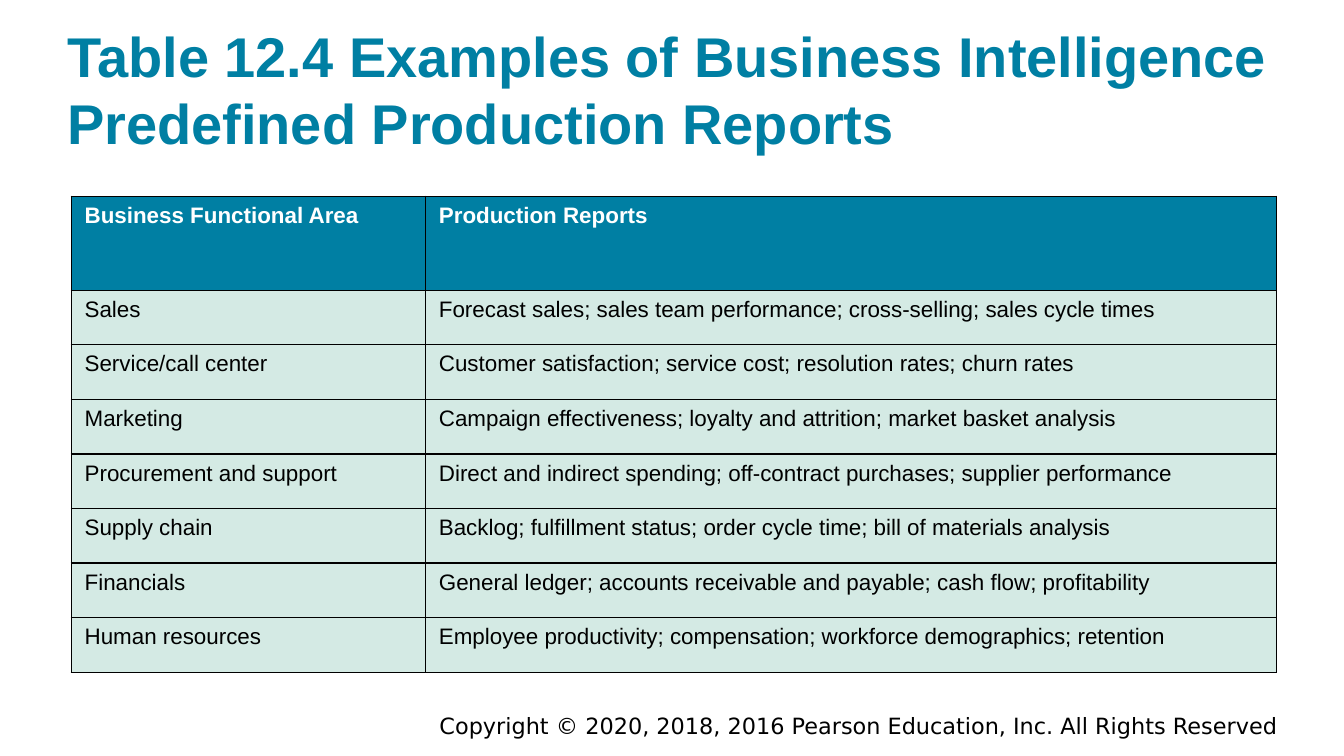
from dataclasses import dataclass

from lxml.etree import SubElement
from pptx import Presentation
from pptx.dml.color import RGBColor as Color
from pptx.enum.text import MSO_ANCHOR as Anchor, MSO_AUTO_SIZE as AutoSize, PP_ALIGN as Align
from pptx.oxml.ns import qn
from pptx.util import Inches, Pt


@dataclass(frozen=True)
class Theme:
    """Colours, fonts and sizes of the slide."""
    accent: str = "007FA3"
    tint: str = "D4EAE4"
    light: str = "FFFFFF"
    dark: str = "000000"
    font: str = "Arial"
    footer_font: str = "DejaVu Sans"
    title_size: int = 30
    text_size: int = 12
    border: float = 0.75


THEME = Theme()
WIDTH = Inches(10)
HEIGHT = WIDTH * 9 // 16
TITLE = "Table 12.4 Examples of Business Intelligence Predefined Production Reports"
COPYRIGHT = "Copyright © 2020, 2018, 2016 Pearson Education, Inc. All Rights Reserved"
REPORTS = [
    ("Business Functional Area", "Production Reports"),
    ("Sales", "Forecast sales; sales team performance; cross-selling; sales cycle times"),
    ("Service/call center", "Customer satisfaction; service cost; resolution rates; churn rates"),
    ("Marketing", "Campaign effectiveness; loyalty and attrition; market basket analysis"),
    ("Procurement and support",
     "Direct and indirect spending; off-contract purchases; supplier performance"),
    ("Supply chain", "Backlog; fulfillment status; order cycle time; bill of materials analysis"),
    ("Financials", "General ledger; accounts receivable and payable; cash flow; profitability"),
    ("Human resources", "Employee productivity; compensation; workforce demographics; retention"),
]


def area(left, top, width, height):
    """Turn percentages of the slide into left, top, width and height."""
    return (int(WIDTH * left / 100), int(HEIGHT * top / 100),
            int(WIDTH * width / 100), int(HEIGHT * height / 100))


def style(para, size, color, bold=False, font=THEME.font):
    """Set the font of a paragraph."""
    para.font.name = font
    para.font.size = Pt(size)
    para.font.bold = bold
    para.font.color.rgb = Color.from_string(color)


def add_title(page, text):
    """Fill and place the title placeholder."""
    title = page.shapes.title
    title.left, title.top, title.width, title.height = area(5, 2.67, 90, 17.96)
    frame = title.text_frame
    frame.text = text
    frame.word_wrap = True
    frame.auto_size = AutoSize.NONE
    frame.vertical_anchor = Anchor.BOTTOM
    frame.margin_left = frame.margin_top = frame.margin_right = frame.margin_bottom = 0
    para = frame.paragraphs[0]
    para.alignment = Align.LEFT
    style(para, THEME.title_size, THEME.accent, bold=True)


def add_borders(cell):
    """Draw a thin line on the four sides of a cell."""
    props = cell._tc.get_or_add_tcPr()
    for index, side in enumerate(("a:lnL", "a:lnR", "a:lnT", "a:lnB")):
        line = SubElement(props, qn(side), w=str(Pt(THEME.border)))
        fill = SubElement(line, qn("a:solidFill"))
        SubElement(fill, qn("a:srgbClr"), val=THEME.dark)
        props.insert(index, line)


def fill_cell(cell, text, is_header):
    """Write and colour one table cell."""
    cell.text = text
    cell.fill.solid()
    cell.fill.fore_color.rgb = Color.from_string(THEME.accent if is_header else THEME.tint)
    style(cell.text_frame.paragraphs[0], THEME.text_size,
          THEME.light if is_header else THEME.dark, bold=is_header)
    add_borders(cell)


def add_report_table(page, rows):
    """Add the table with a tall header and equal body rows."""
    left, top, width, height = area(5.3, 25.96, 89.7, 62.98)
    table = page.shapes.add_table(len(rows), 2, left, top, width, height).table
    table.first_row = table.horz_banding = False
    table.columns[0].width = int(WIDTH * 26.36 / 100)
    table.columns[1].width = width - table.columns[0].width
    header_height = int(HEIGHT * 12.44 / 100)
    body_height = (height - header_height) // (len(rows) - 1)
    for r, texts in enumerate(rows):
        table.rows[r].height = body_height if r else header_height
        for c, text in enumerate(texts):
            fill_cell(table.cell(r, c), text, is_header=r == 0)


def add_footer(page, text):
    """Add the right-aligned copyright line."""
    box = page.shapes.add_textbox(*area(24.4, 93.33, 71.7, 5.33))
    box.text_frame.word_wrap = True
    para = box.text_frame.paragraphs[0]
    para.text = text
    para.alignment = Align.RIGHT
    style(para, THEME.text_size, THEME.dark, font=THEME.footer_font)


def main():
    """Build and save the deck."""
    deck = Presentation()
    deck.slide_width, deck.slide_height = WIDTH, HEIGHT
    page = deck.slides.add_slide(deck.slide_layouts.get_by_name("Title Only"))
    add_footer(page, COPYRIGHT)
    add_title(page, TITLE)
    add_report_table(page, REPORTS)
    deck.save("out.pptx")


if __name__ == "__main__":
    main()
